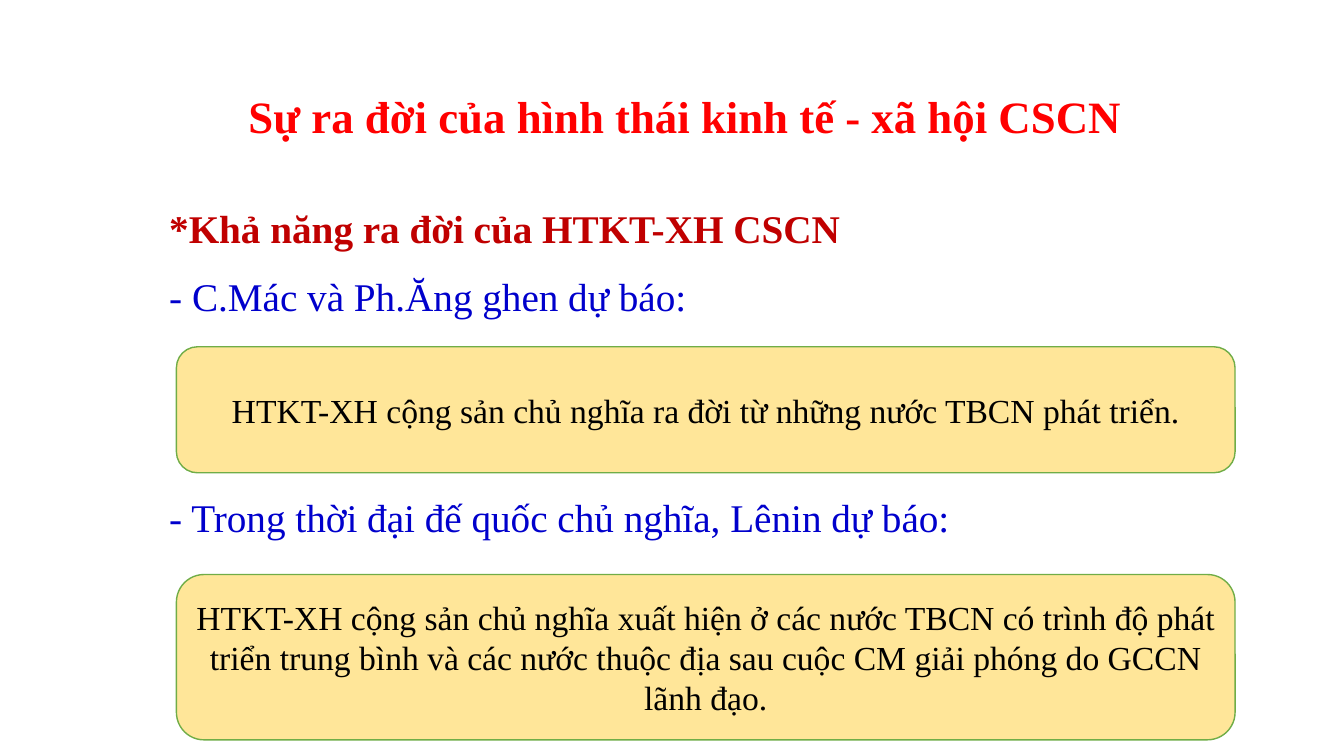
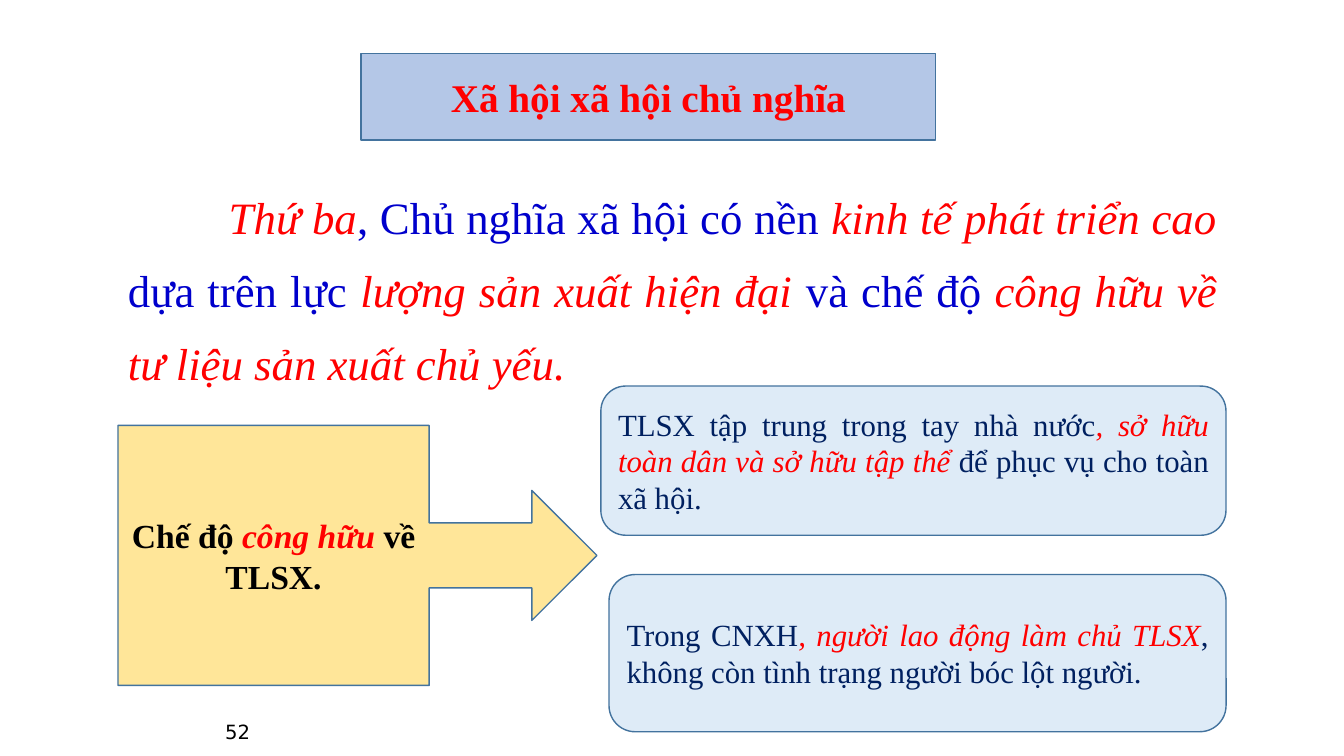
"""Build two slides on the communist and socialist forms of society."""
from dataclasses import dataclass
from typing import Any

from pptx import Presentation
from pptx.dml.color import RGBColor
from pptx.enum.shapes import MSO_SHAPE
from pptx.enum.text import MSO_ANCHOR, MSO_AUTO_SIZE, PP_ALIGN
from pptx.util import Emu, Pt

PX = 9144
PAGE_WIDTH, PAGE_HEIGHT = 1333, 750
TITLE_ONLY = 5

SERIF, SANS = "Times New Roman", "DejaVu Sans"
BLACK = RGBColor(0x00, 0x00, 0x00)
RED = RGBColor(0xFF, 0x00, 0x00)
DARK_RED = RGBColor(0xC0, 0x00, 0x00)
BLUE = RGBColor(0x00, 0x00, 0xCC)
NAVY = RGBColor(0x00, 0x20, 0x60)
YELLOW = RGBColor(0xFF, 0xE6, 0x99)
PALE_BLUE = RGBColor(0xDE, 0xEB, 0xF7)
TITLE_BLUE = RGBColor(0xB4, 0xC7, 0xE7)
GREEN_EDGE = RGBColor(0x70, 0xAD, 0x47)
BLUE_EDGE = RGBColor(0x43, 0x73, 0x9E)

ROUNDED = MSO_SHAPE.ROUNDED_RECTANGLE
CALLOUT = MSO_SHAPE.RIGHT_ARROW_CALLOUT
CENTER, JUSTIFY, RIGHT = PP_ALIGN.CENTER, PP_ALIGN.JUSTIFY, PP_ALIGN.RIGHT
TOP, MIDDLE = MSO_ANCHOR.TOP, MSO_ANCHOR.MIDDLE
GROW, FIXED = MSO_AUTO_SIZE.SHAPE_TO_FIT_TEXT, MSO_AUTO_SIZE.NONE

Area = tuple[int, int, int, int]


@dataclass(frozen=True)
class Span:
    """A stretch of text in one colour and style."""

    text: str
    color: RGBColor
    bold: bool = False
    italic: bool = False


@dataclass(frozen=True)
class Copy:
    """Paragraphs of spans with their common layout."""

    paras: tuple[tuple[Span, ...], ...]
    size: int
    align: PP_ALIGN = CENTER
    anchor: MSO_ANCHOR = MIDDLE
    spacing: float = 1.0
    indent: int = 0
    fit: MSO_AUTO_SIZE = FIXED
    font: str = SERIF


@dataclass(frozen=True)
class Panel:
    """A filled and outlined shape holding text."""

    area: Area
    preset: MSO_SHAPE
    fill: RGBColor
    edge: RGBColor
    copy: Copy


def apply(target: Any, values: dict[str, Any]) -> None:
    """Set each named attribute on the target."""
    for name, value in values.items():
        setattr(target, name, value)


def place(box: Any, area: Area) -> None:
    """Move and size a box."""
    lengths = (Emu(length * PX) for length in area)
    apply(box, dict(zip(("left", "top", "width", "height"), lengths)))


def write(box: Any, copy: Copy) -> None:
    """Fill a box with formatted text."""
    frame = box.text_frame
    apply(frame, {"word_wrap": True, "auto_size": copy.fit,
                  "vertical_anchor": copy.anchor})
    for index, spans in enumerate(copy.paras):
        para = frame.add_paragraph() if index else frame.paragraphs[0]
        apply(para, {"alignment": copy.align, "line_spacing": copy.spacing})
        if copy.indent:
            para._p.get_or_add_pPr().set("indent", str(copy.indent * PX))
        for span in spans:
            run = para.add_run()
            run.text = span.text
            apply(run.font, {"name": copy.font, "size": Pt(copy.size),
                             "bold": span.bold, "italic": span.italic})
            run.font.color.rgb = span.color


def paint(box: Any, fill: RGBColor, edge: RGBColor) -> None:
    """Give a box a solid fill and a thin outline."""
    box.fill.solid()
    box.fill.fore_color.rgb = fill
    box.line.color.rgb = edge
    box.line.width = Pt(1)


def add_page(deck: Any, title: str, area: Area, size: int,
             anchor: MSO_ANCHOR, fit: MSO_AUTO_SIZE) -> Any:
    """Add a page with the red bold title."""
    page = deck.slides.add_slide(deck.slide_layouts[TITLE_ONLY])
    box = page.shapes.title
    place(box, area)
    write(box, Copy(((Span(title, RED, bold=True),),), size,
                    anchor=anchor, fit=fit))
    return page


def add_text(page: Any, area: Area, copy: Copy) -> None:
    """Add a plain text box."""
    box = page.shapes.add_textbox(*(Emu(length * PX) for length in area))
    write(box, copy)


def add_panel(page: Any, panel: Panel) -> None:
    """Add a filled panel with text."""
    box = page.shapes.add_shape(
        panel.preset, *(Emu(length * PX) for length in panel.area))
    box.shadow.inherit = False
    paint(box, panel.fill, panel.edge)
    write(box, panel.copy)


def build_emergence(deck: Any) -> None:
    """Build the page on how the new form of society emerges."""
    page = add_page(deck, "Sự ra đời của hình thái kinh tế - xã hội CSCN",
                    (193, 83, 973, 64), 32, TOP, GROW)
    add_text(page, (108, 180, 1117, 139), Copy(
        ((Span("*Khả năng ra đời của HTKT-XH CSCN", DARK_RED, bold=True),),
         (Span("- C.Mác và Ph.Ăng ghen dự báo:", BLUE),)),
        28, JUSTIFY, spacing=1.45, indent=50, fit=GROW))
    add_text(page, (108, 484, 1059, 57), Copy(
        ((Span("- Trong thời đại đế quốc chủ nghĩa, Lênin dự báo:", BLUE),),),
        28, JUSTIFY, indent=50, fit=GROW))
    forecasts = (
        (344, 125, "HTKT-XH cộng sản chủ nghĩa ra đời từ những nước TBCN "
                   "phát triển."),
        (570, 164, "HTKT-XH cộng sản chủ nghĩa xuất hiện ở các nước TBCN có "
                   "trình độ phát triển trung bình và các nước thuộc địa sau "
                   "cuộc CM giải phóng do GCCN lãnh đạo."),
    )
    for top, height, text in forecasts:
        add_panel(page, Panel((175, top, 1050, height), ROUNDED, YELLOW,
                              GREEN_EDGE, Copy(((Span(text, BLACK),),), 24)))


def build_ownership(deck: Any) -> None:
    """Build the page on public ownership in socialist society."""
    page = add_page(deck, "Xã hội xã hội chủ nghĩa",
                    (358, 53, 570, 86), 28, MIDDLE, FIXED)
    paint(page.shapes.title, TITLE_BLUE, BLUE_EDGE)
    add_text(page, (175, 705, 83, 41),
             Copy(((Span("52", BLACK),),), 14, RIGHT, font=SANS))
    add_text(page, (117, 165, 1100, 221), Copy(
        ((Span("Thứ ba", RED, italic=True),
          Span(", Chủ nghĩa xã hội có nền ", BLUE),
          Span("kinh tế phát triển cao ", RED, italic=True),
          Span("dựa trên lực ", BLUE),
          Span("lượng sản xuất hiện đại ", RED, italic=True),
          Span("và chế độ ", BLUE),
          Span("công hữu về tư liệu sản xuất chủ yếu.", RED, italic=True)),),
        32, JUSTIFY, TOP, spacing=1.35, indent=100, fit=GROW))
    add_panel(page, Panel((117, 422, 475, 258), CALLOUT, YELLOW, BLUE_EDGE, Copy(
        ((Span("Chế độ ", BLACK, bold=True),
          Span("công hữu", RED, bold=True, italic=True),
          Span(" về TLSX.", BLACK, bold=True)),), 24)))
    outcomes = (
        ((596, 383, 620, 148), "TLSX tập trung trong tay nhà nước",
         ", sở hữu toàn dân và sở hữu tập thể ",
         "để phục vụ cho toàn xã hội."),
        ((604, 570, 612, 156), "Trong CNXH",
         ", người lao động làm chủ TLSX",
         ", không còn tình trạng người bóc lột người."),
    )
    for area, opening, stress, ending in outcomes:
        spans = (Span(opening, NAVY), Span(stress, RED, italic=True),
                 Span(ending, NAVY))
        add_panel(page, Panel(area, ROUNDED, PALE_BLUE, BLUE_EDGE,
                              Copy((spans,), 22, JUSTIFY)))


def main() -> None:
    """Build and save the deck."""
    deck = Presentation()
    apply(deck, {"slide_width": Emu(PAGE_WIDTH * PX),
                 "slide_height": Emu(PAGE_HEIGHT * PX)})
    build_emergence(deck)
    build_ownership(deck)
    deck.save("out.pptx")


if __name__ == "__main__":
    main()
